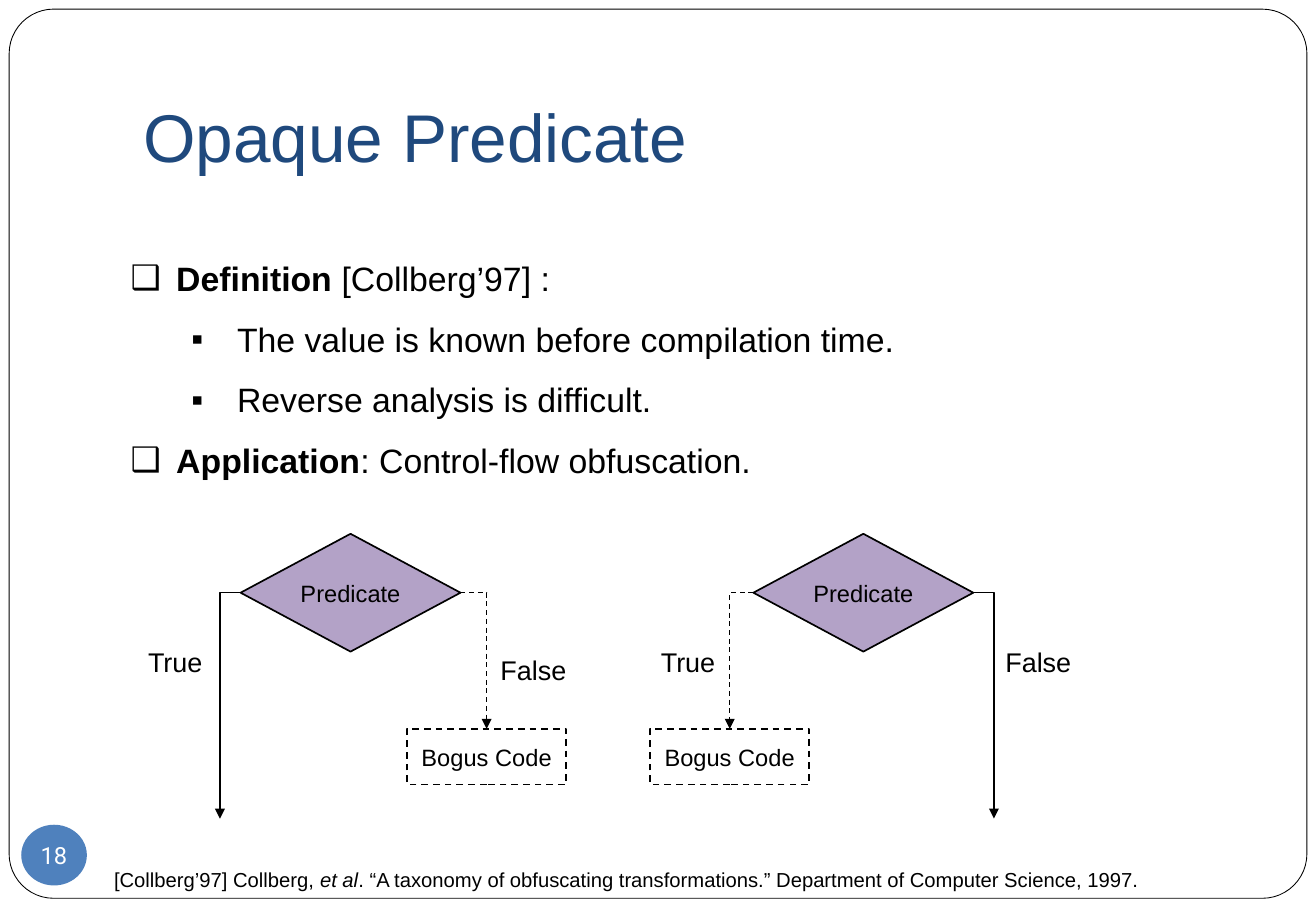
"""Build the Opaque Predicate slide on a grid of tenth-of-an-inch columns and rows."""
import dataclasses
import pptx
import pptx.util
import pptx.dml.color
import pptx.enum.dml
import pptx.enum.shapes
import pptx.enum.text
import pptx.oxml
import pptx.oxml.ns

SHAPE = pptx.enum.shapes.MSO_SHAPE
ALIGN = pptx.enum.text.PP_ALIGN
ANCHOR = pptx.enum.text.MSO_ANCHOR
COLUMNS, ROWS = 108.3, 75
LEFT_SIDE, RIGHT_SIDE = 1, 3


@dataclasses.dataclass(frozen=True)
class Theme:
    """Colours, fonts and type sizes of the slide."""
    ink: str = "000000"
    paper: str = "FFFFFF"
    heading: str = "1F497D"
    decision: str = "B3A2C7"
    badge: str = "4F81BD"
    font: str = "Arial"
    badge_font: str = "Roboto"
    title: int = 40
    body: int = 20
    label: int = 16
    node: int = 14
    note: int = 12


THEME = Theme()
BULLETS = {0: ("❑", 3.75), 1: ("▪", 8.75)}
HANGING = 3.75
POINTS = [
    (0, [("Definition ", {"bold": True}), ("[Collberg’97] :", {})]),
    (1, [("The value is known before compilation time.", {})]),
    (1, [("Reverse analysis is difficult.", {})]),
    (0, [("Application", {"bold": True}), (": Control-flow obfuscation.", {})]),
]
CITATION = [
    ("[Collberg’97] Collberg, ", {}),
    ("et al", {"italic": True}),
    (". “A taxonomy of obfuscating transformations.” Department of Computer Science, 1997.", {}),
]


def grid(*cells):
    """Turn grid cells into slide lengths."""
    return [pptx.util.Inches(round(c / 10, 3)) for c in cells]


def rgb(value):
    """Turn a hex string into a colour."""
    return pptx.dml.color.RGBColor.from_string(value)


def element(tag, attributes=""):
    """Make an empty drawing element."""
    return pptx.oxml.parse_xml(f'<a:{tag} {pptx.oxml.ns.nsdecls("a")} {attributes}/>')


def apply(obj, values):
    """Set each attribute named in a dict."""
    for name, value in values.items():
        setattr(obj, name, value)


def add_runs(p, runs, size, color=THEME.ink, font=THEME.font):
    """Add formatted runs to a paragraph."""
    for text, extra in runs:
        r = p.add_run()
        r.text = text
        apply(r.font, {"name": font, "size": pptx.util.Pt(size), **extra})
        r.font.color.rgb = rgb(color)


def set_line(line, width, dashed=False):
    """Draw a line in ink, solid or dashed."""
    line.color.rgb = rgb(THEME.ink)
    line.width = pptx.util.Pt(width)
    if dashed:
        line.dash_style = pptx.enum.dml.MSO_LINE.DASH


def add_node(shapes, kind, box, fill=None, width=0, dashed=False):
    """Add a preset shape, without a line if the width is zero."""
    sp = shapes.add_shape(kind, *grid(*box))
    sp.shadow.inherit = False
    if fill:
        sp.fill.solid()
        sp.fill.fore_color.rgb = rgb(fill)
    else:
        sp.fill.background()
    if width:
        set_line(sp.line, width, dashed)
    else:
        sp.line.fill.background()
    return sp


def add_caption(sp, text, color=THEME.ink, font=THEME.font, wrap=True):
    """Centre a caption inside a shape."""
    tf = sp.text_frame
    apply(tf, {"margin_left": 0, "margin_right": 0, "margin_top": 0, "margin_bottom": 0,
               "vertical_anchor": ANCHOR.MIDDLE, "word_wrap": wrap})
    p = tf.paragraphs[0]
    p.alignment = ALIGN.CENTER
    add_runs(p, [(text, {})], THEME.node, color, font)


def add_label(shapes, box, runs, size):
    """Add a plain text box."""
    tf = shapes.add_textbox(*grid(*box)).text_frame
    tf.word_wrap = True
    add_runs(tf.paragraphs[0], runs, size)


def add_branch(shapes, start, end, diamond, side, target=None):
    """Add a one-bend arrow from a diamond, dashed if it has a target."""
    cxn = shapes.add_connector(pptx.enum.shapes.MSO_CONNECTOR.ELBOW, *grid(*start, *end))
    set_line(cxn.line, 0.75, target is not None)
    cxn.line._get_or_add_ln().append(element("tailEnd", 'type="triangle"'))
    cxn.begin_connect(diamond, side)
    if target is not None:
        cxn.end_connect(target, 0)
    spPr = cxn._element.spPr
    spPr.append(element("effectLst"))
    spPr.find(pptx.oxml.ns.qn("a:prstGeom")).set("prst", "bentConnector2")
    if side == LEFT_SIDE:
        xfrm = spPr.find(pptx.oxml.ns.qn("a:xfrm"))
        xfrm.attrib.pop("flipH", None)
        xfrm.set("rot", "10800000")
        xfrm.set("flipV", "1")


def add_flow(slide, left, bogus_side, bogus_gap, false_at):
    """Add a predicate with a live branch and a dashed bogus branch."""
    shapes = slide.shapes.add_group_shape().shapes
    top, width, height = 43.95, 18.1, 9.7
    bogus_top, bogus_width = 60, 13.1
    middle = top + height / 2
    diamond = add_node(shapes, SHAPE.DIAMOND, (left, top, width, height), THEME.decision, 1)
    add_caption(diamond, "Predicate")
    for side, edge, sign in ((LEFT_SIDE, left, -1), (RIGHT_SIDE, left + width, 1)):
        x, bottom, target = edge + sign * 1.7, 67.4, None
        if side == bogus_side:
            x, bottom = edge + sign * bogus_gap, bogus_top
            box = (x - bogus_width / 2, bogus_top, bogus_width, 4.6)
            target = add_node(shapes, SHAPE.RECTANGLE, box, THEME.paper, 1, True)
            add_caption(target, "Bogus Code")
        add_branch(shapes, (edge, middle), (x, bottom), diamond, side, target)
    for text, x, y in (("True", left - 8.6, 52.65), ("False", *false_at)):
        add_label(shapes, (x, y, 7.8, 3.7), [(text, {})], THEME.label)


def place(sp, box):
    """Move a placeholder to a grid box."""
    apply(sp, dict(zip(("left", "top", "width", "height"), grid(*box))))


def fill_title(sp, text):
    """Place and format the title."""
    place(sp, (10.8, 3, 92.1, 12.5))
    tf = sp.text_frame
    apply(tf, {"vertical_anchor": ANCHOR.BOTTOM, "margin_bottom": pptx.util.Inches(0.1),
               "auto_size": pptx.enum.text.MSO_AUTO_SIZE.NONE})
    p = tf.paragraphs[0]
    p.alignment = ALIGN.LEFT
    add_runs(p, [(text, {})], THEME.title, THEME.heading)


def fill_list(sp, points):
    """Place and format the bulleted list."""
    place(sp, (9.75, 19.05, 77.7, 21.2))
    tf = sp.text_frame
    tf.auto_size = pptx.enum.text.MSO_AUTO_SIZE.NONE
    for i, (level, runs) in enumerate(points):
        p = tf.add_paragraph() if i else tf.paragraphs[0]
        char, indent = BULLETS[level]
        pPr = p._p.get_or_add_pPr()
        pPr.set("marL", str(grid(indent)[0]))
        pPr.set("indent", str(-grid(HANGING)[0]))
        pPr.append(element("buChar", f'char="{char}"'))
        apply(p, {"level": level, "line_spacing": 1.5, "space_before": pptx.util.Pt(0)})
        add_runs(p, runs, THEME.body)


def main():
    """Build and save the slide."""
    prs = pptx.Presentation()
    prs.slide_width, prs.slide_height = grid(COLUMNS, ROWS)
    s = prs.slides.add_slide(prs.slide_layouts[1])
    frame = add_node(s.shapes, SHAPE.ROUNDED_RECTANGLE, (0.75, 0.75, 106.8, 73.2), width=0.5)
    frame.adjustments[0] = 0.05
    fill_title(s.shapes.title, "Opaque Predicate")
    fill_list(s.placeholders[1], POINTS)
    add_flow(s, 19.8, RIGHT_SIDE, 2.15, (40.2, 53.3))
    add_flow(s, 62, LEFT_SIDE, 1.95, (81.75, 52.65))
    add_label(s.shapes, (8.4, 70.9, 87.2, 3), CITATION, THEME.note)
    badge = add_node(s.shapes, SHAPE.OVAL, (1.75, 67.9, 5.4, 5), THEME.badge)
    add_caption(badge, "18", THEME.paper, THEME.badge_font, wrap=False)
    prs.save("out.pptx")


if __name__ == "__main__":
    main()
